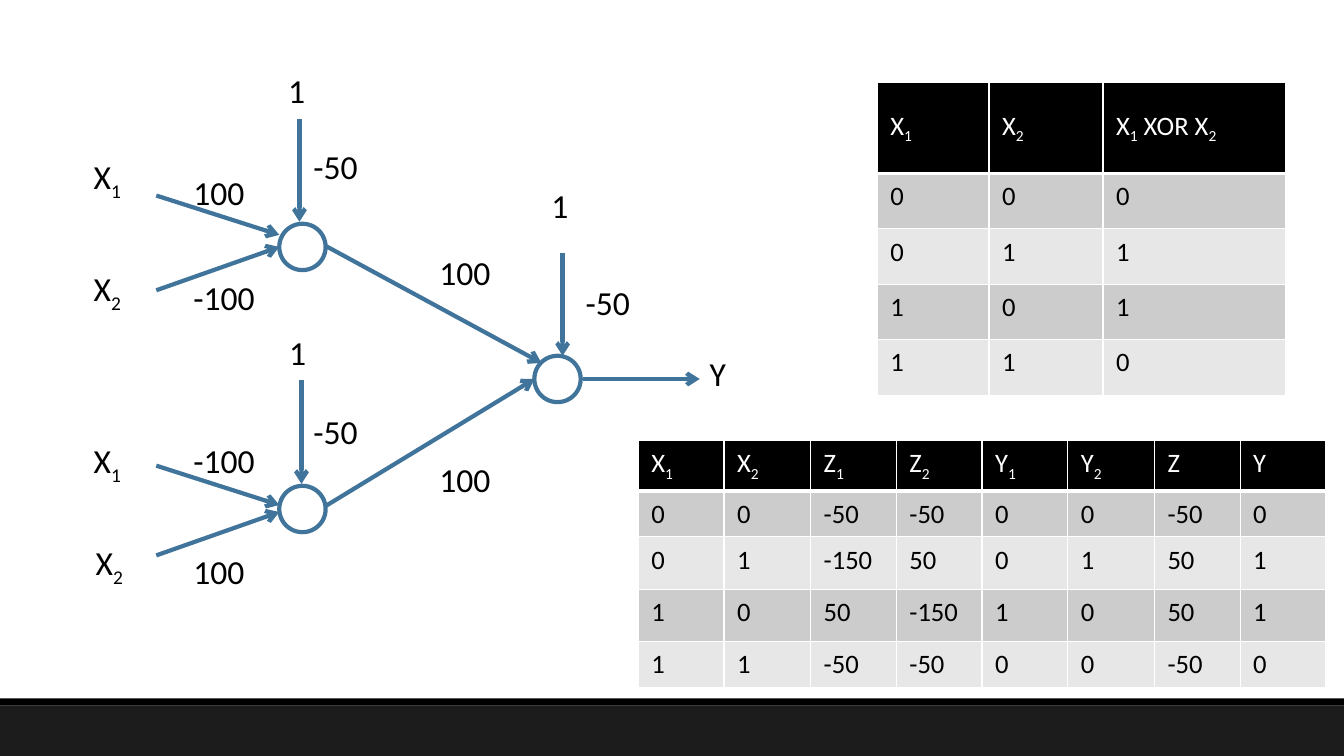
from lxml.etree import SubElement
from pptx import Presentation
from pptx.dml.color import RGBColor
from pptx.enum.shapes import MSO_CONNECTOR, MSO_SHAPE
from pptx.enum.text import MSO_ANCHOR, MSO_AUTO_SIZE
from pptx.oxml import parse_xml
from pptx.oxml.ns import nsdecls, qn
from pptx.util import Pt

PX = 9144  # 100 px to the inch

COLORS = {
    "network": "40749B",
    "black": "000000",
    "white": "FFFFFF",
    "footer": "1C1C1C",
    "odd_row": "CCCCCC",
    "even_row": "E7E7E7",
}


def px(*lengths):
    return [length * PX for length in lengths]


def rgb(name):
    return RGBColor.from_string(COLORS[name])


class SlideBuilder:
    font = "Calibri"
    label_size = 24
    table_size = 19
    line_width = 3
    label_height = 50
    cell_margins = (13, 7)

    def __init__(self, slide):
        self.slide = slide

    def add_runs(self, paragraph, text, size, color):
        """Add text as runs; the character after each _ is a subscript."""
        first, *rest = text.split("_")
        parts = [(first, False)]
        for piece in rest:
            parts += [(piece[0], True), (piece[1:], False)]
        for part, subscript in parts:
            if not part:
                continue
            run = paragraph.add_run()
            run.text = part
            run.font.name = self.font
            run.font.size = Pt(size)
            run.font.bold = False
            run.font.color.rgb = rgb(color)
            if subscript:
                run.font._element.set("baseline", "-25000")

    def band(self, top, height, color):
        shape = self.slide.shapes.add_shape(MSO_SHAPE.RECTANGLE, *px(0, top, 1333, height))
        shape.shadow.inherit = False
        shape.fill.solid()
        shape.fill.fore_color.rgb = rgb(color)
        shape.line.fill.background()

    def neuron(self, left, top):
        shape = self.slide.shapes.add_shape(MSO_SHAPE.OVAL, *px(left, top, 46, 46))
        shape.shadow.inherit = False
        shape.fill.background()
        shape.line.color.rgb = rgb("network")
        shape.line.width = Pt(self.line_width)

    def arrow(self, *ends):
        connector = self.slide.shapes.add_connector(MSO_CONNECTOR.STRAIGHT, *px(*ends))
        connector.line.color.rgb = rgb("network")
        connector.line.width = Pt(self.line_width)
        SubElement(connector.line._get_or_add_ln(), qn("a:tailEnd"), type="arrow")
        SubElement(connector._element.spPr, qn("a:effectLst"))

    def label(self, text, left, top, width):
        box = self.slide.shapes.add_textbox(*px(left, top, width, self.label_height))
        frame = box.text_frame
        frame.word_wrap = False
        frame.auto_size = MSO_AUTO_SIZE.SHAPE_TO_FIT_TEXT
        self.add_runs(frame.paragraphs[0], text, self.label_size, "black")

    def cell_borders(self, cell, top, bottom):
        properties = cell._tc.get_or_add_tcPr()
        widths = {"lnL": 1, "lnR": 1, "lnT": top, "lnB": bottom}
        for index, (side, width) in enumerate(widths.items()):
            properties.insert(index, parse_xml(
                f'<a:{side} {nsdecls("a")} w="{Pt(width)}"><a:solidFill>'
                f'<a:srgbClr val="{COLORS["white"]}"/></a:solidFill></a:{side}>'))

    def table(self, left, top, columns, heights, rows, header_anchor):
        frame = self.slide.shapes.add_table(
            len(rows), len(columns), *px(left, top, sum(columns), sum(heights)))
        table = frame.table
        for column, width in zip(table.columns, columns):
            column.width = width * PX
        for index, (row, height, texts) in enumerate(zip(table.rows, heights, rows)):
            row.height = height * PX
            header = index == 0
            fill = "black" if header else "odd_row" if index % 2 else "even_row"
            for cell, text in zip(row.cells, texts):
                cell.margin_left = cell.margin_right = self.cell_margins[0] * PX
                cell.margin_top = cell.margin_bottom = self.cell_margins[1] * PX
                cell.vertical_anchor = header_anchor if header else MSO_ANCHOR.TOP
                cell.fill.solid()
                cell.fill.fore_color.rgb = rgb(fill)
                self.cell_borders(cell, 3 if index == 1 else 1, 3 if header else 1)
                self.add_runs(cell.text_frame.paragraphs[0], text, self.table_size,
                              "white" if header else "black")


def main():
    presentation = Presentation()
    presentation.slide_width, presentation.slide_height = px(1333, 750)
    builder = SlideBuilder(presentation.slides.add_slide(presentation.slide_layouts[6]))

    # Footer bands
    builder.band(700, 50, "footer")
    builder.band(693, 7, "black")

    # Two hidden neurons and the output neuron
    for left, top in [(277, 222), (277, 482), (530, 353)]:
        builder.neuron(left, top)

    # XOR truth table
    builder.table(870, 82, [111, 113, 181], [90, 55, 55, 55, 55], [
        ["X_1", "X_2", "X_1 XOR X_2"],
        ["0", "0", "0"],
        ["0", "1", "1"],
        ["1", "0", "1"],
        ["1", "1", "0"],
    ], MSO_ANCHOR.MIDDLE)

    # Inputs, biases, hidden outputs and final output
    for ends in [
        (155, 194, 277, 233), (155, 288, 277, 245),
        (155, 462, 277, 501), (155, 551, 277, 508),
        (297, 118, 297, 220), (299, 377, 299, 480), (558, 251, 558, 353),
        (323, 244, 537, 360), (323, 502, 530, 376),
        (578, 376, 694, 376),
    ]:
        builder.arrow(*ends)

    # Labels of each kind: text, width, places
    for text, width, places in [
        ("X_1", 49, [(83, 150), (83, 432)]),
        ("X_2", 49, [(83, 261), (85, 533)]),
        ("1", 37, [(276, 64), (277, 324), (537, 179)]),
        ("100", 71, [(182, 166), (182, 542), (426, 245), (426, 450)]),
        ("-100", 82, [(182, 270), (182, 432)]),
        ("-50", 65, [(301, 140), (301, 403), (571, 275)]),
        ("Y", 37, [(694, 345)]),
    ]:
        for left, top in places:
            builder.label(text, left, top, width)

    # Network evaluation table
    builder.table(633, 437, [85, 86, 85, 85] * 2, [49, 45, 52, 52, 45], [
        ["X_1", "X_2", "Z_1", "Z_2", "Y_1", "Y_2", "Z", "Y"],
        ["0", "0", "-50", "-50", "0", "0", "-50", "0"],
        ["0", "1", "-150", "50", "0", "1", "50", "1"],
        ["1", "0", "50", "-150", "1", "0", "50", "1"],
        ["1", "1", "-50", "-50", "0", "0", "-50", "0"],
    ], MSO_ANCHOR.TOP)

    presentation.save("out.pptx")


if __name__ == "__main__":
    main()
